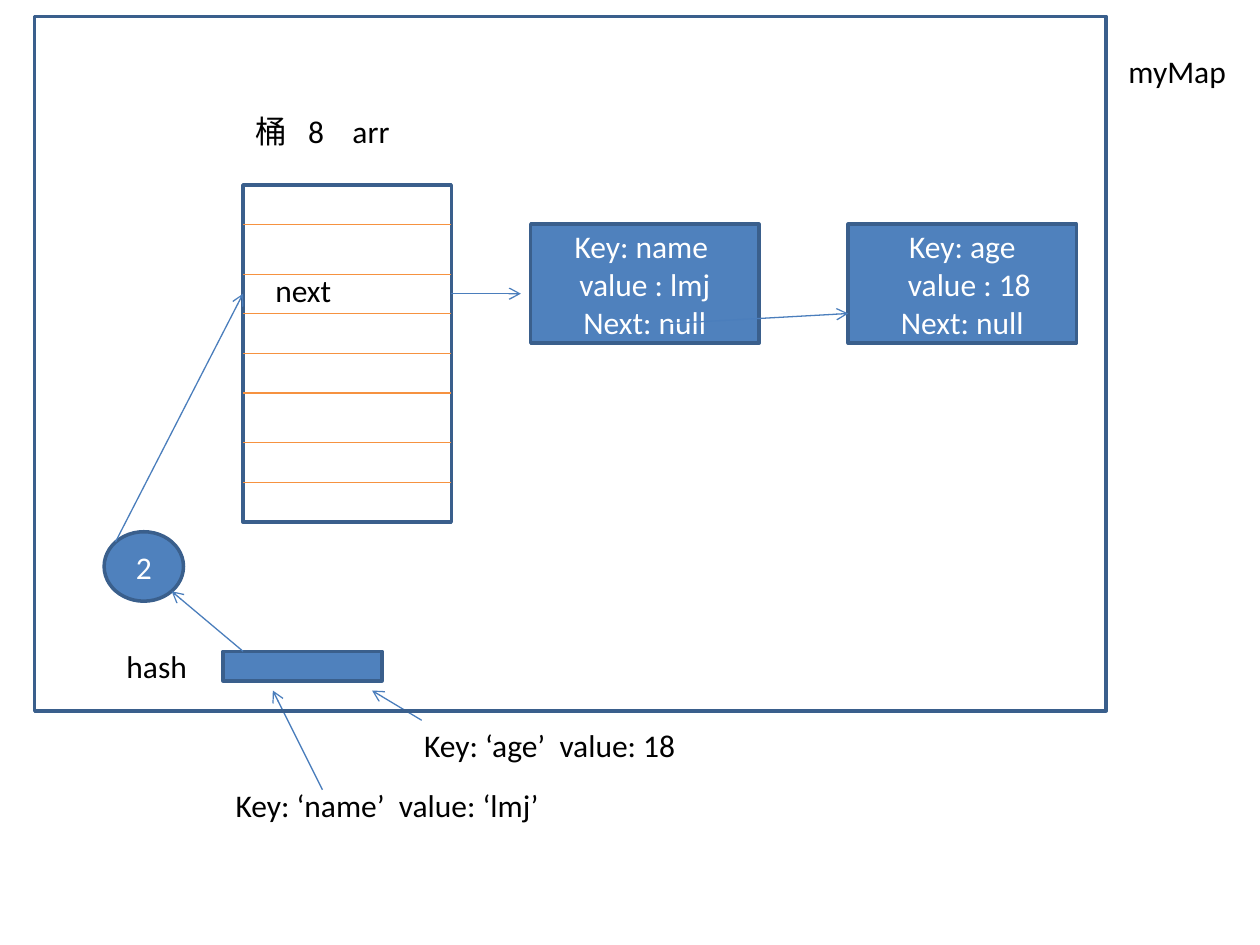
import pptx
import pptx.util
import pptx.dml.color
import pptx.enum.shapes
import pptx.enum.text
import pptx.oxml.ns
import lxml.etree

Cm = pptx.util.Cm
RGBColor = pptx.dml.color.RGBColor
SHAPE = pptx.enum.shapes.MSO_SHAPE
ALIGN = pptx.enum.text.PP_ALIGN
ANCHOR = pptx.enum.text.MSO_ANCHOR

BLUE = RGBColor(0x4F, 0x81, 0xBD)
BORDER = RGBColor(0x3A, 0x5F, 0x8C)
ARROW = RGBColor(0x4B, 0x7E, 0xBC)
ORANGE = RGBColor(0xF6, 0x92, 0x40)
BLACK = RGBColor(0, 0, 0)
WHITE = RGBColor(255, 255, 255)


def write(tf, text, color=BLACK, align=ALIGN.LEFT, size=18, font="Calibri"):
    """Fill a text frame, one paragraph per line of text."""
    for i, line in enumerate(text.split("\n")):
        p = tf.paragraphs[0] if i == 0 else tf.add_paragraph()
        p.alignment = align
        r = p.add_run()
        r.text = line
        r.font.name = font
        r.font.size = pptx.util.Pt(size)
        r.font.color.rgb = color


class Diagram:
    border_width = pptx.util.Pt(2)
    line_width = pptx.util.Pt(0.75)

    def __init__(self, s):
        self.s = s

    def shape(self, x, y, w, h, text="", kind=SHAPE.RECTANGLE, fill=BLUE):
        sp = self.s.shapes.add_shape(kind, Cm(x), Cm(y), Cm(w), Cm(h))
        sp.shadow.inherit = False
        if fill is None:
            sp.fill.background()
        else:
            sp.fill.solid()
            sp.fill.fore_color.rgb = fill
        sp.line.color.rgb = BORDER
        sp.line.width = self.border_width
        if text:
            sp.text_frame.vertical_anchor = ANCHOR.MIDDLE
            write(sp.text_frame, text, color=WHITE, align=ALIGN.CENTER)

    def label(self, x, y, w, text, wrap=True):
        sp = self.s.shapes.add_textbox(Cm(x), Cm(y), Cm(w), Cm(1.02))
        tf = sp.text_frame
        tf.word_wrap = wrap
        tf.auto_size = pptx.enum.text.MSO_AUTO_SIZE.SHAPE_TO_FIT_TEXT
        write(tf, text)

    def line(self, x1, y1, x2, y2, color=ORANGE):
        cx = self.s.shapes.add_connector(
            pptx.enum.shapes.MSO_CONNECTOR.STRAIGHT,
            Cm(x1), Cm(y1), Cm(x2), Cm(y2))
        cx.line.color.rgb = color
        cx.line.width = self.line_width
        qn = pptx.oxml.ns.qn
        lxml.etree.SubElement(cx._element.spPr, qn("a:effectLst"))
        return cx

    def arrow(self, x1, y1, x2, y2):
        cx = self.line(x1, y1, x2, y2, ARROW)
        ln = cx.line._get_or_add_ln()
        lxml.etree.SubElement(ln, pptx.oxml.ns.qn("a:tailEnd"), type="arrow")


def main():
    prs = pptx.Presentation()
    prs.slide_width, prs.slide_height = Cm(25.4), Cm(19.05)
    d = Diagram(prs.slides.add_slide(prs.slide_layouts[6]))

    # Bucket array
    left, width = 4.9, 4.2
    right = left + width
    d.shape(left, 3.73, width, 6.8, fill=None)
    for y in (4.52, 5.53, 6.32, 7.13, 7.92, 8.92, 9.72):
        d.line(left, y, right, y)
    d.label(left, 2.13, 7.6, "桶   8    arr")

    # Hashing a key to a bucket index
    d.label(4.5, 15.72, 10, "Key: ‘name’  value: ‘lmj’")
    d.shape(4.5, 13.13, 3.2, 0.6)
    d.arrow(6.5, 15.92, 5.5, 13.92)
    d.label(2.3, 12.92, 2.6, "hash")
    d.shape(2.1, 10.72, 1.6, 1.4, "2", kind=SHAPE.OVAL)
    d.arrow(left, 13.13, 3.46, 11.92)
    d.arrow(2.33, 10.92, left, 5.92)

    # Linked entries
    d.label(5.3, 5.33, 1.65, "next", wrap=False)
    d.arrow(right, 5.92, 10.5, 5.92)
    entries = ("Key: name  value : lmj\nNext: null",
               "Key: age\n  value : 18\nNext: null")
    for i, text in enumerate(entries):
        d.shape(10.7 + 6.4 * i, 4.52, 4.6, 2.4, text)
    d.arrow(13.5, 6.52, 17.1, 6.32)

    d.label(8.3, 14.52, 10, "Key: ‘age’  value: 18")
    d.arrow(8.5, 14.52, 7.5, 13.92)

    # Map outline
    d.shape(0.7, 0.33, 21.6, 14, fill=None)
    d.label(22.5, 0.92, 2.9, "myMap")

    prs.save("out.pptx")


if __name__ == "__main__":
    main()
